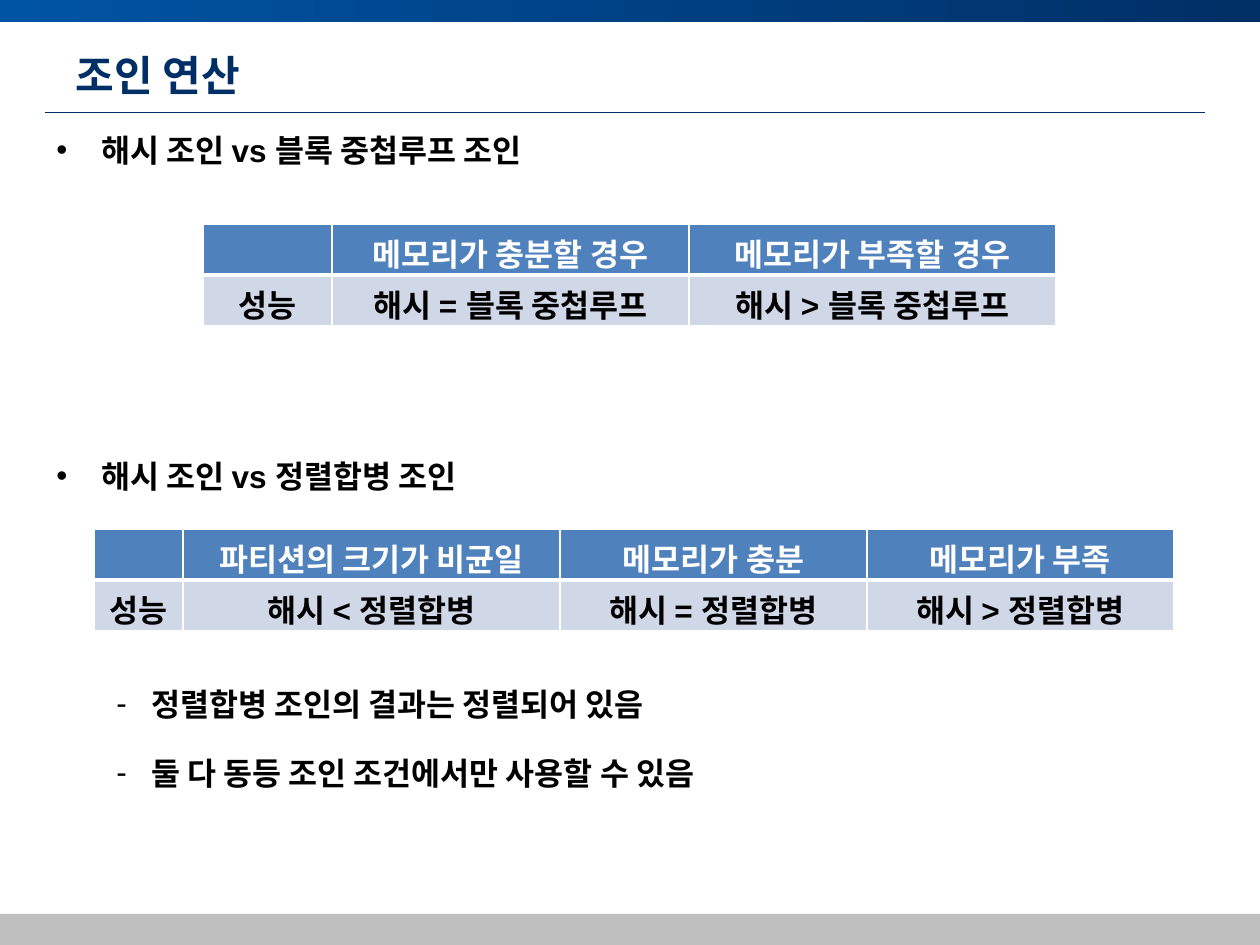
"""Builds a slide comparing join operations in two small tables."""
import pptx
import pptx.util
import pptx.dml.color
import pptx.enum.shapes
import pptx.enum.text
import pptx.oxml.ns
from lxml import etree

PX = 914400 // 126
COLORS = {"navy": "002F65", "blue": "0054A4", "gray": "BFBFBF", "header": "4F81BD",
          "body": "D0D8E8", "white": "FFFFFF", "black": "000000"}
qn = pptx.oxml.ns.qn


def rgb(name):
    return pptx.dml.color.RGBColor.from_string(COLORS[name])


def format_font(paragraph, color, size=18, name="Arial"):
    paragraph.font.size = pptx.util.Pt(size)
    paragraph.font.name = name
    paragraph.font.bold = True
    paragraph.font.color.rgb = rgb(color)


presentation = pptx.Presentation()
presentation.slide_width = 1260 * PX
presentation.slide_height = 945 * PX
slide = presentation.slides.add_slide(presentation.slide_layouts[5])

for top, height in ((0, 22), (914, 31)):
    bar = slide.shapes.add_shape(pptx.enum.shapes.MSO_SHAPE.RECTANGLE,
                                 0, top * PX, 1260 * PX, height * PX)
    bar.shadow.inherit = False
    bar.line.fill.background()
    if top == 0:
        bar.fill.gradient()
        bar.fill.gradient_angle = 0
        for stop, color in zip(bar.fill.gradient_stops, ("blue", "navy")):
            stop.color.rgb = rgb(color)
    else:
        bar.fill.solid()
        bar.fill.fore_color.rgb = rgb("gray")

rule = slide.shapes.add_connector(pptx.enum.shapes.MSO_CONNECTOR.STRAIGHT,
                                  45 * PX, 112 * PX, 1205 * PX, 112 * PX)
rule.line.color.rgb = rgb("navy")
rule.line.width = pptx.util.Pt(0.5)
etree.SubElement(rule._element.spPr, qn("a:effectLst"))

title = slide.shapes.title
title.left, title.top, title.width, title.height = 63 * PX, 38 * PX, 1134 * PX, 73 * PX
title.text_frame.text = "조인 연산"
title.text_frame.vertical_anchor = pptx.enum.text.MSO_ANCHOR.MIDDLE
title.text_frame.paragraphs[0].alignment = pptx.enum.text.PP_ALIGN.LEFT
format_font(title.text_frame.paragraphs[0], "navy", 24, "Noto Sans CJK KR")

bullet_lines = (
    (44, 125, 556, "•", 45, "해시 조인 vs 블록 중첩루프 조인"),
    (44, 451, 556, "•", 45, "해시 조인 vs 정렬합병 조인"),
    (104, 679, 625, "-", 35, "정렬합병 조인의 결과는 정렬되어 있음"),
    (104, 748, 714, "-", 35, "둘 다 동등 조인 조건에서만 사용할 수 있음"),
)
for left, top, width, bullet, indent, text in bullet_lines:
    box = slide.shapes.add_textbox(left * PX, top * PX, width * PX, 50 * PX)
    box.text_frame.word_wrap = True
    box.text_frame.vertical_anchor = pptx.enum.text.MSO_ANCHOR.MIDDLE
    paragraph = box.text_frame.paragraphs[0]
    paragraph.text = text
    properties = paragraph._p.get_or_add_pPr()
    properties.set("marL", str(indent * PX))
    properties.set("indent", str(-indent * PX))
    etree.SubElement(properties, qn("a:buFont"), typeface="Arial")
    etree.SubElement(properties, qn("a:buChar"), char=bullet)
    format_font(paragraph, "black")

tables = (
    (203, 224, (129, 357, 367),
     (("", "메모리가 충분할 경우", "메모리가 부족할 경우"),
      ("성능", "해시 = 블록 중첩루프", "해시 > 블록 중첩루프"))),
    (94, 529, (89, 377, 307, 307),
     (("", "파티션의 크기가 비균일", "메모리가 충분", "메모리가 부족"),
      ("성능", "해시 < 정렬합병", "해시 = 정렬합병", "해시 > 정렬합병"))),
)
for left, top, widths, rows in tables:
    table = slide.shapes.add_table(len(rows), len(widths), left * PX, top * PX,
                                   sum(widths) * PX, 51 * len(rows) * PX).table
    for column, width in zip(table.columns, widths):
        column.width = width * PX
    for row_index, texts in enumerate(rows):
        fill, color = (("header", "white"), ("body", "black"))[row_index]
        edge_points = {"L": 1, "R": 1, "T": (1, 3)[row_index], "B": (3, 1)[row_index]}
        for column_index, text in enumerate(texts):
            cell = table.cell(row_index, column_index)
            cell.text = text
            paragraph = cell.text_frame.paragraphs[0]
            paragraph.alignment = pptx.enum.text.PP_ALIGN.CENTER
            format_font(paragraph, color)
            cell_properties = cell._tc.get_or_add_tcPr()
            for edge, points in edge_points.items():
                border = etree.SubElement(cell_properties, qn(f"a:ln{edge}"),
                                          w=str(pptx.util.Pt(points)))
                border_fill = etree.SubElement(border, qn("a:solidFill"))
                etree.SubElement(border_fill, qn("a:srgbClr"), val=COLORS["white"])
            cell.fill.solid()
            cell.fill.fore_color.rgb = rgb(fill)

presentation.save("out.pptx")
